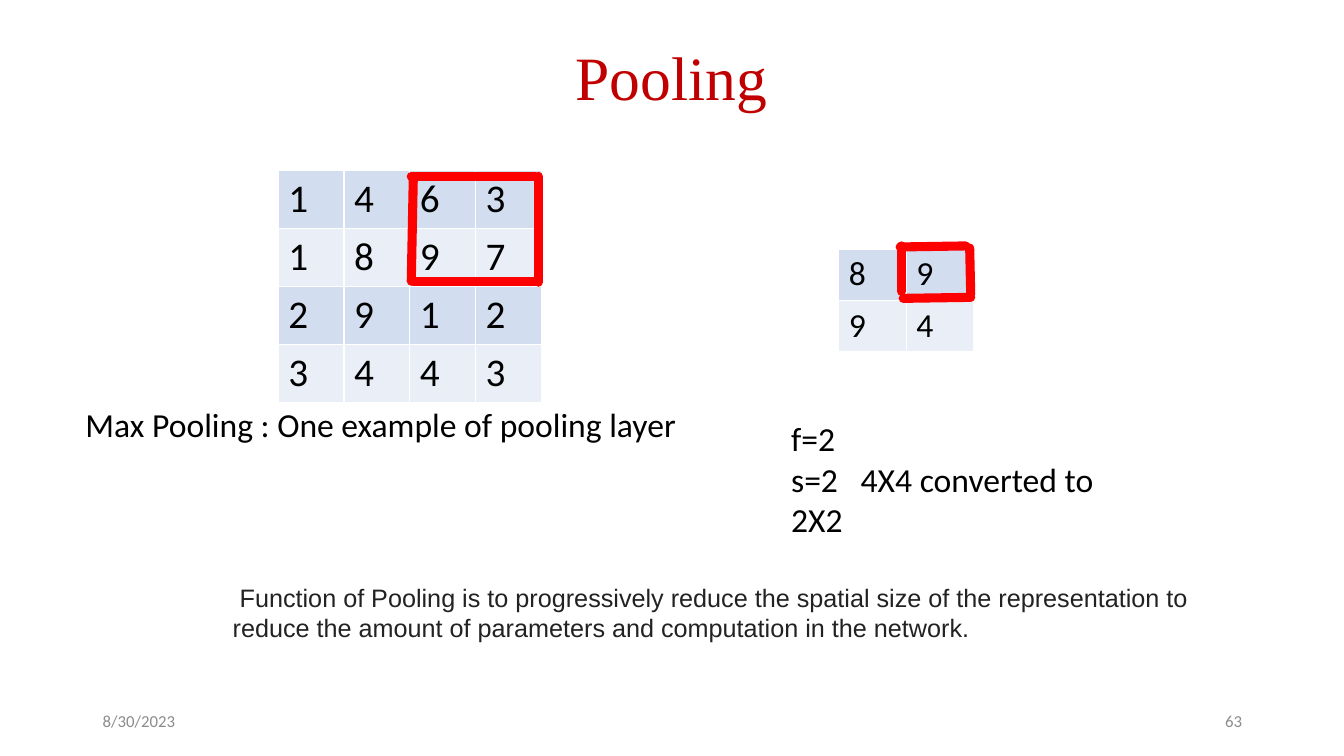
from dataclasses import dataclass

from lxml.etree import SubElement
from pptx import Presentation
from pptx.dml.color import RGBColor
from pptx.enum.shapes import MSO_CONNECTOR as Connector
from pptx.enum.text import MSO_ANCHOR as Anchor, PP_ALIGN as Align
from pptx.oxml.ns import qn
from pptx.slide import Slide
from pptx.util import Emu, Inches, Pt

# Grid: square units of a tenth of an inch
UNIT = Inches(0.1)
COLUMNS, ROWS = 133.33, 75
COLORS = {
    "text": "000000",
    "title": "C00000",
    "body": "222222",
    "footer": "8C8C8C",
    "mark": "FF0000",
    "border": "FFFFFF",
    "odd_row": "D2DEEF",
    "even_row": "EAEFF7",
}


@dataclass
class Label:
    lines: list[str]
    column: float
    row: float
    width: float
    height: float
    size: float
    font: str = "Calibri"
    color: str = "text"
    align: Align = Align.LEFT
    anchor: Anchor = Anchor.TOP
    indent: float = 0
    tab: float = 0


@dataclass
class Matrix:
    values: list[list[int]]
    column: float
    row: float
    cell_width: float
    cell_height: float
    size: float


@dataclass
class Stroke:
    start: tuple[float, float]
    end: tuple[float, float]


LABELS = [
    Label(["Max Pooling : One example of pooling layer"], 7.5, 39.6, 63.7, 5, 24),
    Label(["f=2", "s=2\t4X4 converted to 2X2"], 77.5, 41, 37.8, 9.1, 24, tab=6.9),
    Label(["Pooling"], 40.6, 3.4, 52, 8.4, 44, "Times New Roman", "title", Align.CENTER),
    Label(["Function of Pooling is to progressively reduce the spatial size of the "
           "representation to reduce the amount of parameters and computation in the network."],
          22.1, 57.3, 99.4, 7.1, 18, "Arial", "body", indent=0.7),
    Label(["8/30/2023"], 9.2, 69.5, 30, 4, 12, color="footer", anchor=Anchor.MIDDLE),
    Label(["63"], 94.2, 69.5, 30, 4, 12, color="footer",
          align=Align.RIGHT, anchor=Anchor.MIDDLE),
]

MATRICES = [
    Matrix([[1, 4, 6, 3], [1, 8, 9, 7], [2, 9, 1, 2], [3, 4, 4, 3]],
           27.6, 16.9, 6.53, 5.68, 28),
    Matrix([[8, 9], [9, 4]], 83.2, 24.7, 6.7, 5, 24),
]

STROKES = [
    # Pooling window
    Stroke((40.8, 17.5), (53.1, 17.5)),
    Stroke((41, 17.7), (40.8, 27.9)),
    Stroke((53.4, 17.5), (53.4, 28)),
    Stroke((41, 27.9), (53.4, 27.9)),
    # Pooled value
    Stroke((89.3, 24.5), (95.8, 24.4)),
    Stroke((89.4, 24.4), (89.4, 28.9)),
    Stroke((96.2, 24.6), (96.3, 29.2)),
    Stroke((89.6, 29.6), (96.3, 29.5)),
]


def grid(units: float) -> Emu:
    return Emu(round(units * UNIT))


def rgb(name: str) -> RGBColor:
    return RGBColor.from_string(COLORS[name])


def format_para(para, size: float, font: str, color: str) -> None:
    for span in para.runs:
        span.font.size = Pt(size)
        span.font.name = font
        span.font.color.rgb = rgb(color)


def draw_label(page: Slide, label: Label) -> None:
    box = page.shapes.add_textbox(grid(label.column), grid(label.row),
                                  grid(label.width), grid(label.height))
    frame = box.text_frame
    frame.word_wrap = True
    frame.vertical_anchor = label.anchor
    frame.text = "\n".join(label.lines)
    for para in frame.paragraphs:
        para.alignment = label.align
        properties = para._p.get_or_add_pPr()
        if label.indent:
            properties.set("indent", str(grid(label.indent)))
        if label.tab:
            stops = SubElement(properties, qn("a:tabLst"))
            SubElement(stops, qn("a:tab"), pos=str(grid(label.tab)), algn="l")
        format_para(para, label.size, label.font, label.color)


def add_borders(cell) -> None:
    properties = cell._tc.get_or_add_tcPr()
    for index, side in enumerate(("lnL", "lnR", "lnT", "lnB")):
        border = properties.makeelement(qn(f"a:{side}"), {"w": str(Pt(1))})
        fill = SubElement(border, qn("a:solidFill"))
        SubElement(fill, qn("a:srgbClr"), val=COLORS["border"])
        properties.insert(index, border)


def draw_matrix(page: Slide, matrix: Matrix) -> None:
    row_count, column_count = len(matrix.values), len(matrix.values[0])
    table = page.shapes.add_table(
        row_count, column_count, grid(matrix.column), grid(matrix.row),
        grid(matrix.cell_width * column_count), grid(matrix.cell_height * row_count)).table
    table.first_row = False
    table.horz_banding = False
    for column in table.columns:
        column.width = grid(matrix.cell_width)
    for row_index, values in enumerate(matrix.values):
        table.rows[row_index].height = grid(matrix.cell_height)
        for column_index, value in enumerate(values):
            cell = table.cell(row_index, column_index)
            cell.text_frame.text = str(value)
            format_para(cell.text_frame.paragraphs[0], matrix.size, "Calibri", "text")
            cell.fill.solid()
            cell.fill.fore_color.rgb = rgb("even_row" if row_index % 2 else "odd_row")
            add_borders(cell)


def draw_stroke(page: Slide, stroke: Stroke) -> None:
    line = page.shapes.add_connector(Connector.STRAIGHT,
                                     *map(grid, stroke.start + stroke.end))
    line.line.color.rgb = rgb("mark")
    line.line.width = Pt(6.5)
    outline = line.line._get_or_add_ln()
    outline.set("cap", "rnd")
    SubElement(outline, qn("a:round"))
    SubElement(line._element.spPr, qn("a:effectLst"))


def main() -> None:
    deck = Presentation()
    deck.slide_width, deck.slide_height = grid(COLUMNS), grid(ROWS)
    page = deck.slides.add_slide(deck.slide_layouts[6])
    for matrix in MATRICES:
        draw_matrix(page, matrix)
    for label in LABELS:
        draw_label(page, label)
    for stroke in STROKES:
        draw_stroke(page, stroke)
    deck.save("out.pptx")


if __name__ == "__main__":
    main()
